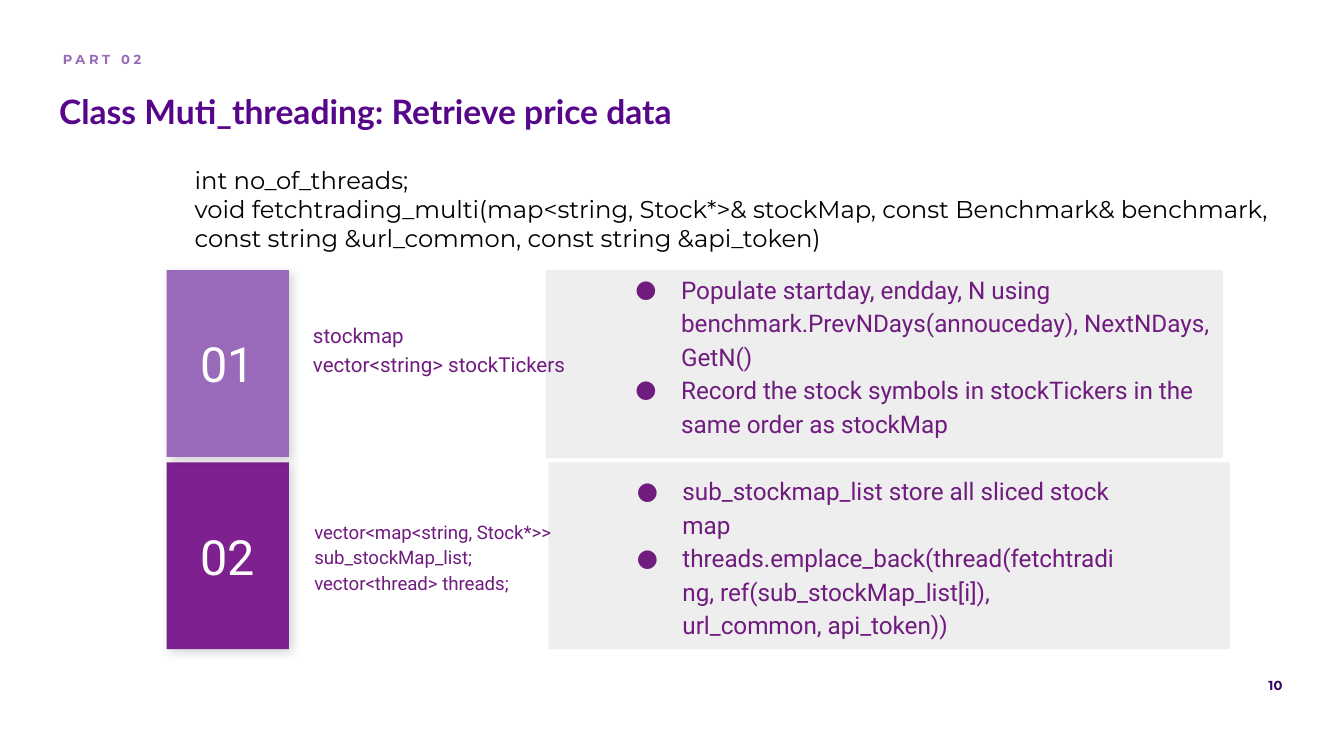
from dataclasses import dataclass

from lxml import etree
from pptx import Presentation
from pptx import util as u
from pptx.dml.color import RGBColor
from pptx.enum import shapes, text
from pptx.oxml import ns

PX = 4572
INSET = 20


@dataclass(frozen=True)
class Theme:
    title: str = "57068C"
    lilac: str = "9A6ABA"
    purple: str = "7F2090"
    body: str = "701C7F"
    panel: str = "EEEEEE"
    page: str = "330662"
    black: str = "000000"
    white: str = "FFFFFF"
    title_font: str = "Lato"
    label_font: str = "Montserrat"
    body_font: str = "Roboto"
    small: int = 7
    code: int = 10
    code_large: int = 11
    text: int = 13
    heading: int = 18
    number: int = 26


THEME = Theme()

ROWS = [
    dict(
        number="02", fill=THEME.purple, tile=(248, 688, 182, 278),
        panel=(816, 688, 1014, 278),
        variables=["vector<map<string, Stock*>> sub_stockMap_list;",
                   "vector<thread> threads;"],
        variables_box=(448, 720, 514, 214), variables_size=THEME.code,
        variables_bottom=INSET,
        steps=["sub_stockmap_list store all sliced stock map",
               "threads.emplace_back(thread(fetchtrading, "
               "ref(sub_stockMap_list[i]), url_common, api_token))"],
        steps_box=(896, 688, 788, 278), steps_bottom=INSET,
    ),
    dict(
        number="01", fill=THEME.lilac, tile=(248, 402, 182, 278),
        panel=(812, 402, 1008, 280),
        variables=["stockmap", "vector<string> stockTickers"],
        variables_box=(446, 436, 470, 216), variables_size=THEME.code_large,
        variables_bottom=72,
        steps=["Populate startday, endday, N using "
               "benchmark.PrevNDays(annouceday), NextNDays, GetN()",
               "Record the stock symbols in stockTickers in the same order "
               "as stockMap"],
        steps_box=(894, 404, 926, 278), steps_bottom=52,
    ),
]


def px(*lengths):
    return [u.Emu(length * PX) for length in lengths]


def child(parent, tag, **attributes):
    return etree.SubElement(parent, ns.qn(tag), attributes)


def write(frame, lines, font, size, color, bold=False, align=text.PP_ALIGN.LEFT,
          anchor=text.MSO_ANCHOR.TOP, spacing=None, bottom=INSET):
    frame.word_wrap = True
    frame.auto_size = text.MSO_AUTO_SIZE.NONE
    frame.vertical_anchor = anchor
    frame.margin_left = frame.margin_top = frame.margin_right = u.Emu(INSET * PX)
    frame.margin_bottom = u.Emu(bottom * PX)
    for index, line in enumerate(lines):
        paragraph = frame.add_paragraph() if index else frame.paragraphs[0]
        paragraph.alignment = align
        if spacing:
            paragraph.line_spacing = spacing
        run = paragraph.add_run()
        run.text = line
        run.font.name = font
        run.font.size = u.Pt(size)
        run.font.bold = bold
        run.font.color.rgb = RGBColor.from_string(color)
    return frame


def add_text(parent, box, lines, *style, **options):
    return write(parent.add_textbox(*px(*box)).text_frame, lines, *style, **options)


def add_rect(parent, box, fill):
    rect = parent.add_shape(shapes.MSO_SHAPE.RECTANGLE, *px(*box))
    rect.shadow.inherit = False
    rect.fill.solid()
    rect.fill.fore_color.rgb = RGBColor.from_string(fill)
    rect.line.fill.background()
    return rect


def cast_shadow(rect):
    effects = rect._element.spPr.find(ns.qn("a:effectLst"))
    shadow = child(effects, "a:outerShdw", blurRad=str(u.Pt(5.6)),
                   dist=str(u.Pt(2.2)), dir="2700000", algn="bl", rotWithShape="0")
    color = child(shadow, "a:srgbClr", val=THEME.black)
    child(color, "a:alpha", val="17000")


def add_bullets(frame):
    for paragraph in frame.paragraphs:
        properties = paragraph._p.get_or_add_pPr()
        properties.set("marL", str(u.Inches(0.5)))
        properties.set("indent", str(u.Inches(-0.34)))
        color = child(properties, "a:buClr")
        child(color, "a:srgbClr", val=THEME.body)
        child(properties, "a:buFont", typeface=THEME.body_font)
        child(properties, "a:buChar", char="●")


def add_row(slide, row):
    group = slide.shapes.add_group_shape().shapes
    middle = text.MSO_ANCHOR.MIDDLE
    add_rect(group, row["panel"], THEME.panel)
    add_text(group, row["variables_box"], row["variables"], THEME.body_font,
             row["variables_size"], THEME.body, anchor=middle, spacing=1.15,
             bottom=row["variables_bottom"])
    tile = add_rect(group, row["tile"], row["fill"])
    cast_shadow(tile)
    write(tile.text_frame, [row["number"]], THEME.body_font, THEME.number,
          THEME.white, align=text.PP_ALIGN.CENTER, anchor=middle)
    steps = add_text(group, row["steps_box"], row["steps"], THEME.body_font,
                     THEME.text, THEME.body, anchor=middle, spacing=1.15,
                     bottom=row["steps_bottom"])
    add_bullets(steps)


def add_title(slide, box, line):
    title = slide.shapes.title
    title.left, title.top, title.width, title.height = px(*box)
    write(title.text_frame, [line], THEME.title_font, THEME.heading,
          THEME.title, bold=True)


def add_section(slide, box, line):
    frame = add_text(slide.shapes, box, [line], THEME.label_font, THEME.small,
                     THEME.lilac, bold=True)
    frame.paragraphs[0].runs[0]._r.get_or_add_rPr().set("spc", "195")


def main():
    deck = Presentation()
    deck.slide_width, deck.slide_height = px(2000, 1125)
    slide = deck.slides.add_slide(deck.slide_layouts[5])
    add_text(slide.shapes, (1010, 988, 918, 68), ["10"], THEME.label_font,
             THEME.small, THEME.page, bold=True, align=text.PP_ALIGN.RIGHT)
    add_title(slide, (68, 116, 1842, 126), "Class Muti_threading: Retrieve price data")
    add_section(slide, (74, 56, 532, 68), "PART 02")
    for row in ROWS:
        add_row(slide, row)
    add_text(slide.shapes, (270, 226, 1730, 218),
             ["int no_of_threads;",
              "void fetchtrading_multi(map<string, Stock*>& stockMap, "
              "const Benchmark& benchmark, const string &url_common, "
              "const string &api_token)"],
             THEME.label_font, THEME.text, THEME.black)
    deck.save("out.pptx")


if __name__ == "__main__":
    main()
